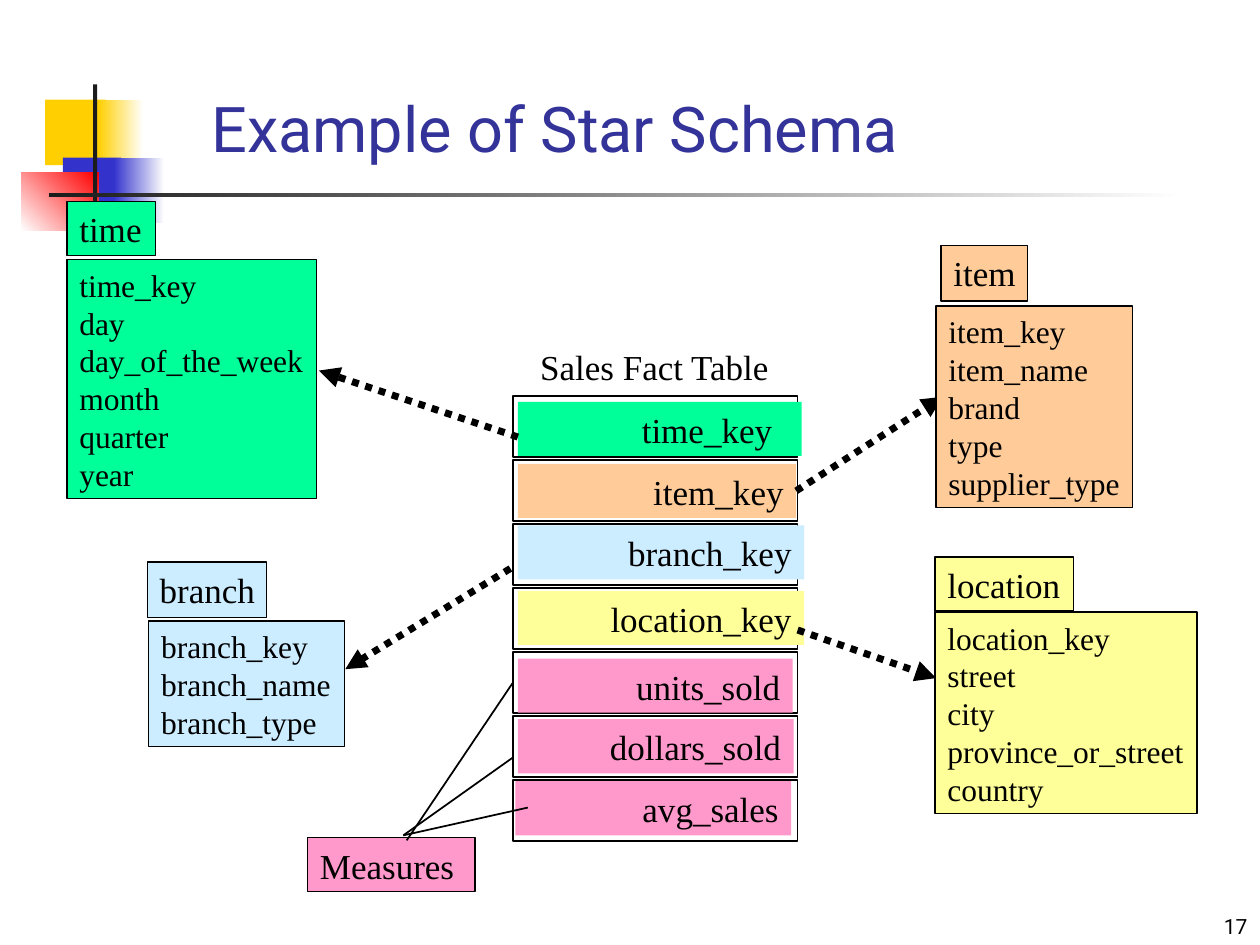
from dataclasses import dataclass

from lxml import etree
from pptx import Presentation
from pptx import util as u
from pptx.dml.color import RGBColor
from pptx.enum import dml, shapes, text
from pptx.oxml import ns


@dataclass(frozen=True)
class Theme:
    serif: str = "Times New Roman"
    sans: str = "Roboto"
    black: str = "000000"
    white: str = "FFFFFF"
    ink: str = "1C1C1C"
    navy: str = "333399"
    gold: str = "FFCF01"
    blue: str = "3333CC"
    red: str = "FF0000"
    green: str = "00FF99"
    peach: str = "FFCC99"
    sky: str = "CCECFF"
    lemon: str = "FFFF99"
    pink: str = "FF99CC"
    title: int = 36
    head: int = 20
    body: int = 18
    foot: int = 12


def write(frame, lines, size, font, color, align="LEFT", anchor="TOP",
          wrap=False, lead=None, right=0.25):
    frame.auto_size = text.MSO_AUTO_SIZE.NONE
    frame.word_wrap = wrap
    frame.vertical_anchor = getattr(text.MSO_ANCHOR, anchor)
    frame.margin_left, frame.margin_right = u.Cm(0.25), u.Cm(right)
    frame.margin_top = frame.margin_bottom = u.Cm(0.13)
    frame.text = lines
    for para in frame.paragraphs:
        para.alignment = getattr(text.PP_ALIGN, align)
        if lead:
            para.line_spacing = u.Pt(size * lead)
        font_set = para.runs[0].font
        font_set.name, font_set.size = font, u.Pt(size)
        font_set.color.rgb = RGBColor.from_string(color)


class Board:
    def __init__(self, slide, theme):
        self.slide, self.theme = slide, theme

    def title(self, words, *box):
        head = self.slide.shapes.title
        head.left, head.top, head.width, head.height = map(u.Cm, box)
        write(head.text_frame, words, self.theme.title, self.theme.sans,
              self.theme.navy, anchor="BOTTOM", wrap=True)

    def rect(self, *box, fill=None, line=None):
        form = self.slide.shapes.add_shape(
            shapes.MSO_SHAPE.RECTANGLE, *map(u.Cm, box))
        form.shadow.inherit = False
        if fill:
            form.fill.solid()
            form.fill.fore_color.rgb = RGBColor.from_string(fill)
        else:
            form.fill.background()
        if line:
            form.line.color.rgb = RGBColor.from_string(self.theme.black)
            form.line.width = u.Pt(line)
        else:
            form.line.fill.background()
        return form

    def fade(self, *box, start, end, angle=0):
        form = self.rect(*box)
        form.fill.gradient()
        form.fill.gradient_angle = angle
        for stop, color in zip(form.fill.gradient_stops, (start, end)):
            stop.color.rgb = RGBColor.from_string(color)

    def label(self, words, *box, size=None, line=None, fill=None, **style):
        form = self.rect(*box, fill=fill, line=line)
        write(form.text_frame, words, size or self.theme.head,
              self.theme.serif, self.theme.black, lead=1.2, **style)
        return form

    def table(self, name, head, body, fields, fill):
        left, top, width, height = head
        self.label(name, left, top, width, height, fill=fill, line=0.75)
        left, top, width = body
        tall = 0.25 + 0.762 * len(fields)
        self.label("\n".join(fields), left, top, width, tall,
                   size=self.theme.body, fill=fill, line=0.75)

    def note(self, words, *box):
        area = self.slide.shapes.add_textbox(*map(u.Cm, box))
        write(area.text_frame, words, self.theme.foot, self.theme.sans,
              self.theme.black, align="RIGHT", anchor="BOTTOM", wrap=True)

    def link(self, start, end, width=1, arrow=False):
        wire = self.slide.shapes.add_connector(
            shapes.MSO_CONNECTOR.STRAIGHT, *map(u.Cm, start + end))
        wire.line.color.rgb = RGBColor.from_string(self.theme.black)
        wire.line.width = u.Pt(width)
        if arrow:
            wire.line.dash_style = dml.MSO_LINE.ROUND_DOT
            edge = wire.line._get_or_add_ln()
            etree.SubElement(edge, ns.qn("a:tailEnd"), type="triangle")
        etree.SubElement(wire._element.spPr, ns.qn("a:effectLst"))
        return wire


def decor(board):
    t = board.theme
    board.rect(0.91, 2.01, 1.22, 1.32, fill=t.gold)
    board.fade(1.98, 2.01, 0.91, 1.32, start=t.gold, end=t.white)
    board.rect(1.27, 3.18, 1.17, 1.32, fill=t.blue)
    board.fade(2.29, 3.18, 1.02, 1.32, start=t.blue, end=t.white)
    board.fade(0.43, 3.48, 1.55, 1.17, start=t.white, end=t.red, angle=45)
    board.rect(1.88, 1.7, 0.08, 2.92, fill=t.ink)
    board.fade(0.99, 3.89, 22.86, 0.08, start=t.ink, end=t.white)


def facts(board):
    t = board.theme
    board.label("Sales Fact Table", 10.64, 6.83, 5.18, 1.09)
    rows = [
        ("time_key", t.green, 10.44, 8.1, 5.72, 0.59),
        ("item_key", t.peach, 10.44, 9.35, 5.61, 0.25),
        ("branch_key", t.sky, 10.44, 10.59, 5.77, 0.25),
        ("location_key", t.lemon, 10.44, 11.91, 5.77, 0.25),
        ("units_sold", t.pink, 10.44, 13.28, 5.54, 0.25),
        ("dollars_sold", t.pink, 10.44, 14.5, 5.56, 0.25),
        ("avg_sales", t.pink, 10.39, 15.75, 5.56, 0.25),
    ]
    cells, bars = {}, {}
    for i, (name, fill, left, top, width, right) in enumerate(rows):
        cells[name] = board.rect(10.34, 7.98 + 1.29 * i, 5.74, 1.24, line=1)
        bars[name] = board.label(name, left, top, width, 1.09, fill=fill,
                                 align="RIGHT", wrap=True, right=right)
    return cells, bars


def main():
    deck = Presentation()
    deck.slide_width, deck.slide_height = u.Cm(25.4), u.Cm(19.05)
    t = Theme()
    board = Board(deck.slides.add_slide(deck.slide_layouts[5]), t)
    decor(board)
    board.note("17", 20.12, 17.78, 5.28, 1.27)
    board.title("Example of Star Schema", 4.01, 1.7, 20.17, 1.75)

    board.table("time", (1.35, 4.06, 1.78, 1.09), (1.35, 5.23, 5.03),
                ["time_key", "day", "day_of_the_week", "month", "quarter",
                 "year"], t.green)
    board.table("location", (18.85, 11.23, 2.79, 1.09), (18.85, 12.34, 5.28),
                ["location_key", "street", "city", "province_or_street",
                 "country"], t.lemon)
    cells, bars = facts(board)

    board.label("Measures", 6.2, 16.89, 3.38, 1.09, fill=t.pink, line=0.75)
    units = board.link((8.2, 16.94), (10.34, 13.77))
    units.end_connect(cells["units_sold"], 1)
    for end in ((10.34, 15.27), (10.64, 16.28)):
        board.link((8.13, 16.84), end)

    for start, end in (((10.29, 11.46), (6.96, 13.49)),
                       ((10.44, 8.81), (6.43, 7.47)),
                       ((16.08, 12.7), (18.87, 13.67))):
        board.link(start, end, width=4, arrow=True)
    item = board.link((16, 9.88), (19, 8), width=4, arrow=True)
    item.begin_connect(bars["item_key"], 3)

    board.table("item", (18.97, 4.95, 1.75, 1.12), (18.87, 6.17, 3.96),
                ["item_key", "item_name", "brand", "type", "supplier_type"],
                t.peach)
    board.table("branch", (2.97, 11.33, 2.41, 1.12), (3, 12.52, 3.94),
                ["branch_key", "branch_name", "branch_type"], t.sky)
    deck.save("out.pptx")


if __name__ == "__main__":
    main()
